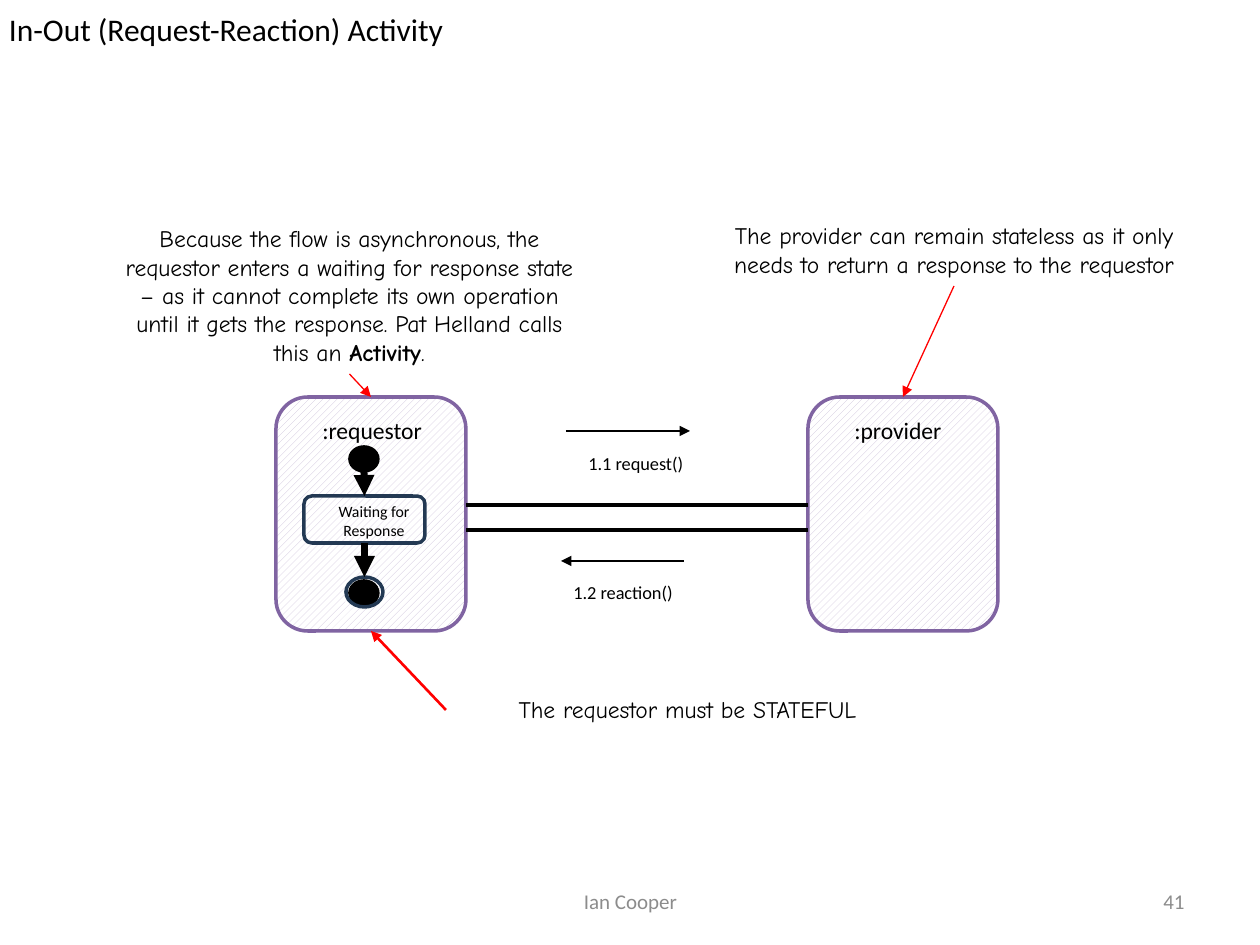
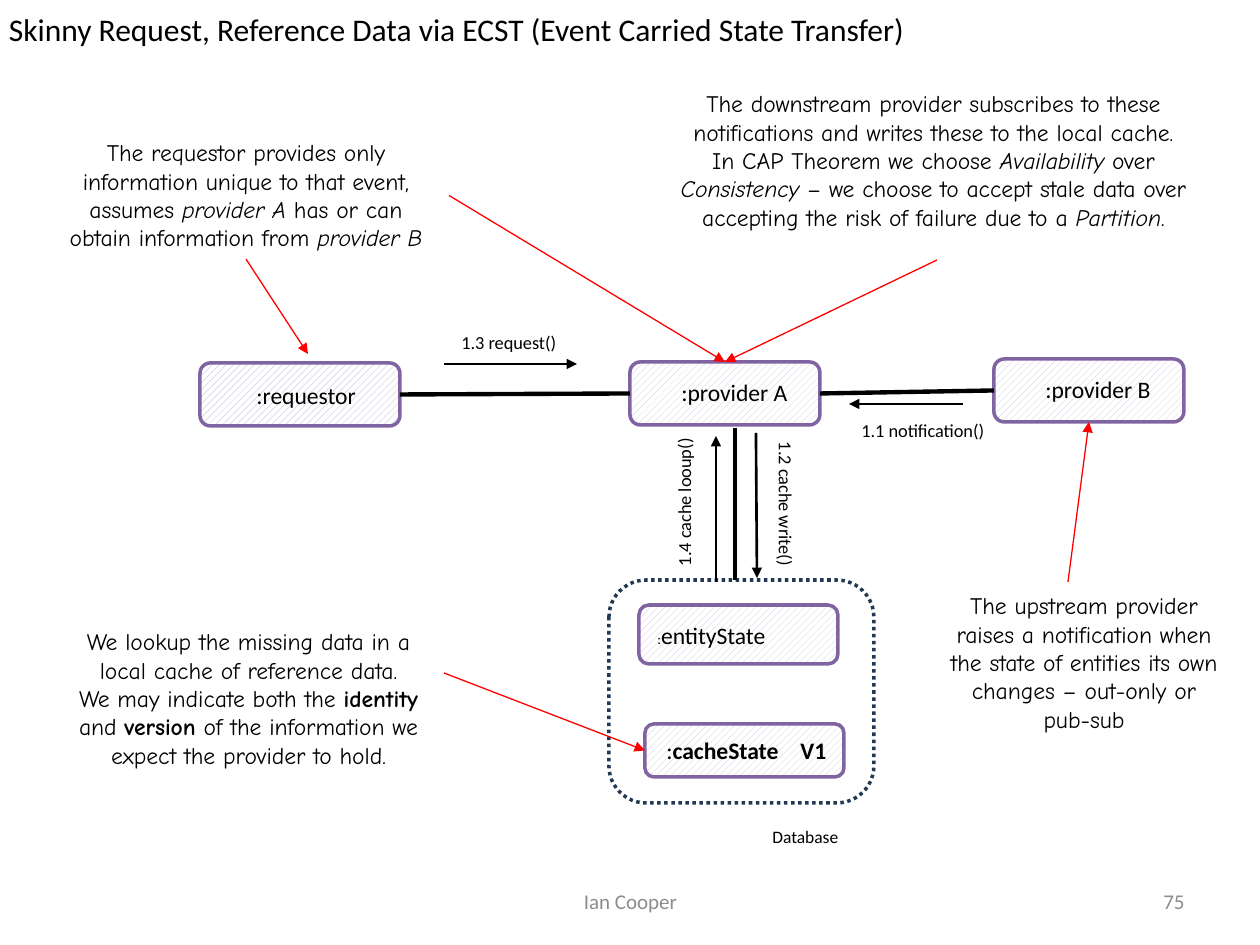
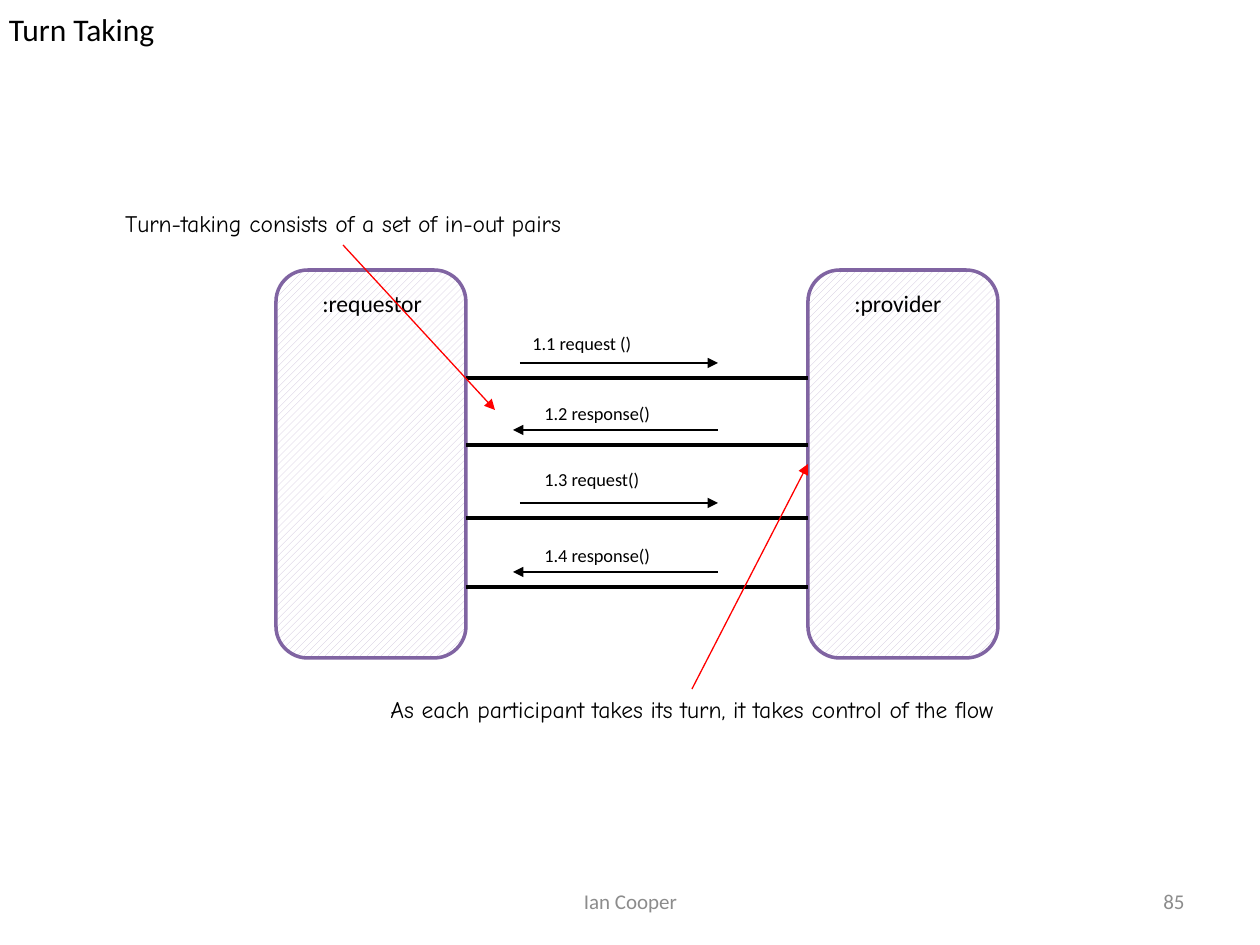
from dataclasses import dataclass
from typing import NamedTuple

from lxml import etree
from pptx import Presentation
from pptx.dml.color import RGBColor
from pptx.enum.dml import MSO_LINE, MSO_PATTERN
from pptx.enum.shapes import MSO_CONNECTOR, MSO_SHAPE
from pptx.enum.text import MSO_ANCHOR, MSO_AUTO_SIZE, PP_ALIGN
from pptx.oxml.ns import qn
from pptx.util import Emu, Pt

PX = 914400 // 126
PAGE_WIDTH, PAGE_HEIGHT = 1260, 945
BLANK_LAYOUT = 6
PARTICIPANT_WIDTH = 190
TOP, LEFT, BOTTOM, RIGHT = range(4)
ROUNDED, OVAL = MSO_SHAPE.ROUNDED_RECTANGLE, MSO_SHAPE.OVAL
STRAIGHT = MSO_CONNECTOR.STRAIGHT
HATCH = MSO_PATTERN.WIDE_UPWARD_DIAGONAL
DOTTED = MSO_LINE.ROUND_DOT
MIDDLE = MSO_ANCHOR.MIDDLE
FIT_TEXT = MSO_AUTO_SIZE.SHAPE_TO_FIT_TEXT
ALIGN_LEFT, ALIGN_CENTER, ALIGN_RIGHT = PP_ALIGN.LEFT, PP_ALIGN.CENTER, PP_ALIGN.RIGHT
BOLD, ITALIC = {"bold": True}, {"italic": True}


@dataclass(frozen=True)
class Theme:
    plain_font: str = "Calibri"
    note_font: str = "Comic Neue"
    ink: str = "000000"
    paper: str = "FFFFFF"
    muted: str = "8C8C8C"
    purple: str = "8064A2"
    hatch: str = "CCC1DA"
    dark_hatch: str = "B3A2C7"
    navy: str = "233953"
    red: str = "FF0000"
    title_size: float = 18
    body_size: float = 13.5
    footer_size: float = 12
    message_size: float = 10.5
    caption_size: float = 10
    state_size: float = 9
    colon_size: float = 8
    outline: float = 2
    link: float = 2.5
    arrow: float = 1.5
    pointer: float = 0.75
    flow: float = 4


THEME = Theme()


class Box(NamedTuple):
    left: int
    top: int
    width: int
    height: int

    def inside(self, dx, dy, width, height):
        return Box(self.left + dx, self.top + dy, width, height)

    def emu(self):
        return [Emu(value * PX) for value in self]


class Joint(NamedTuple):
    """A line end fixed to the middle of a shape's side."""
    shape: object
    side: int


def rgb(color):
    return RGBColor.from_string(color)


def write(page, box, paragraphs, size=THEME.body_size, font=THEME.plain_font,
          color=THEME.ink, align=ALIGN_LEFT, tab=None, rotation=0, **frame_format):
    """Add a text box; a run is a string or a (string, font values) pair."""
    text_box = page.shapes.add_textbox(*box.emu())
    text_box.rotation = rotation
    frame = text_box.text_frame
    for name, value in {"word_wrap": True, "auto_size": FIT_TEXT, **frame_format}.items():
        setattr(frame, name, value)
    for index, runs in enumerate(paragraphs):
        para = frame.add_paragraph() if index else frame.paragraphs[0]
        para.alignment = align
        if tab:
            tabs = etree.SubElement(para._p.get_or_add_pPr(), qn("a:tabLst"))
            etree.SubElement(tabs, qn("a:tab"), pos=str(tab * PX), algn="l")
        for run in runs:
            text, changes = (run, {}) if isinstance(run, str) else run
            span = para.add_run()
            span.text = text
            for name, value in {"name": font, "size": Pt(size), **changes}.items():
                setattr(span.font, name, value)
            span.font.color.rgb = rgb(color)
    return text_box


def outline(page, preset, box, line_color, fill=None, hatch=None):
    shape = page.shapes.add_shape(preset, *box.emu())
    shape.shadow.inherit = False
    shape.line.color.rgb = rgb(line_color)
    shape.line.width = Pt(THEME.outline)
    if hatch:
        shape.fill.patterned()
        shape.fill.pattern = HATCH
        shape.fill.fore_color.rgb = rgb(hatch)
        shape.fill.back_color.rgb = rgb(THEME.paper)
    elif fill:
        shape.fill.solid()
        shape.fill.fore_color.rgb = rgb(fill)
    else:
        shape.fill.background()
    return shape


def connect(page, start, end, width, color=THEME.ink, arrow=True):
    """Draw a straight line between two ends, each a point or a Joint."""
    points = [(0, 0) if isinstance(place, Joint) else place for place in (start, end)]
    connector = page.shapes.add_connector(
        STRAIGHT, *(Emu(value * PX) for point in points for value in point))
    for place, join in ((start, connector.begin_connect), (end, connector.end_connect)):
        if isinstance(place, Joint):
            join(*place)
    connector.line.color.rgb = rgb(color)
    connector.line.width = Pt(width)
    if arrow:
        etree.SubElement(connector.line._get_or_add_ln(), qn("a:tailEnd"), type="triangle")
    etree.SubElement(connector._element.spPr, qn("a:effectLst"))


def link(page, start, end):
    connect(page, start, end, THEME.link, arrow=False)


def point_out(page, start, end, width=THEME.pointer):
    connect(page, start, end, width, THEME.red)


def note(page, box, *paragraphs):
    return write(page, box, paragraphs, font=THEME.note_font, align=ALIGN_CENTER)


def message(page, box, text, start, end, rotation=0):
    write(page, box, [[text]], THEME.message_size, rotation=rotation)
    connect(page, start, end, THEME.arrow)


def participant(page, box, name, dx, dy, hatch=THEME.hatch):
    shape = outline(page, ROUNDED, box, THEME.purple, hatch=hatch)
    write(page, box.inside(dx, dy, 137, 42), [[name]])
    return shape


def conversation(page, box, link_offsets):
    """Place requestor and provider at the sides of the box, with links across."""
    inner_left = box.left + PARTICIPANT_WIDTH
    inner_right = box.left + box.width - PARTICIPANT_WIDTH
    pair = [participant(page, Box(left, box.top, PARTICIPANT_WIDTH, box.height), name, 34, 13)
            for left, name in ((box.left, ":requestor"), (inner_right, ":provider"))]
    for offset in link_offsets:
        y = box.top + offset
        link(page, (inner_left, y), (inner_right, y))
    return pair


def waiting_flow(page, box):
    """Draw the start, waiting and end states inside the requestor."""
    for dy in (50, 184):
        outline(page, OVAL, box.inside(74, dy, 28, 24), THEME.ink, fill=THEME.ink)
    waiting = outline(page, ROUNDED, box.inside(28, 99, 121, 47), THEME.navy)
    end_ring = outline(page, OVAL, box.inside(70, 180, 37, 30), THEME.navy)
    start_bottom = (box.left + 88, box.top + 74)
    connect(page, start_bottom, Joint(waiting, TOP), THEME.flow)
    connect(page, Joint(waiting, BOTTOM), Joint(end_ring, TOP), THEME.flow)
    write(page, box.inside(40, 99, 116, 50), [["Waiting for Response"]],
          THEME.state_size, align=ALIGN_CENTER)


def database(page, box):
    """Draw the store and return its cache entry."""
    cache = outline(page, ROUNDED, box.inside(36, 144, 199, 53), THEME.purple, hatch=THEME.hatch)
    outline(page, ROUNDED, box.inside(30, 25, 199, 59), THEME.purple, hatch=THEME.hatch)
    write(page, box.inside(36, 35, 161, 43),
          [[(":", {"size": Pt(THEME.colon_size)}), "entityState"]])
    write(page, box.inside(45, 150, 186, 42), [[":", ("cacheState\tV1", BOLD)]], tab=134)
    border = outline(page, ROUNDED, box, THEME.navy)
    border.line.dash_style = DOTTED
    write(page, box.inside(151, 240, 95, 34), [["Database"]], THEME.caption_size)
    return cache


def new_page(deck, title, number):
    page = deck.slides.add_slide(deck.slide_layouts[BLANK_LAYOUT])
    margin = Emu(9 * PX)
    write(page, Box(0, 1, PAGE_WIDTH, 57), [[title]], THEME.title_size,
          margin_left=margin, margin_right=margin, margin_top=margin, margin_bottom=margin)
    for box, text, align in ((Box(431, 876, 399, 50), "Ian Cooper", ALIGN_CENTER),
                             (Box(903, 876, 294, 50), str(number), ALIGN_RIGHT)):
        write(page, box, [[text]], THEME.footer_size, color=THEME.muted, align=align,
              auto_size=MSO_AUTO_SIZE.NONE, vertical_anchor=MIDDLE)
    return page


def activity_page(deck):
    page = new_page(deck, "In-Out (Request-Reaction) Activity", 41)
    area = Box(276, 397, 722, 234)
    requestor, provider = conversation(page, area, (108, 133))
    message(page, Box(576, 446, 123, 35), "1.1 request()", (566, 431), (690, 431))
    message(page, Box(561, 575, 164, 35), "1.2 reaction()", (684, 561), (561, 561))
    waiting_flow(page, area)
    stateless = note(page, Box(692, 215, 524, 71), [
        "The provider can remain stateless as it only needs to return a response "
        "to the requestor"])
    activity = note(page, Box(108, 218, 483, 156), [
        "Because the flow is asynchronous, the requestor enters a waiting for response "
        "state – as it cannot complete its own operation until it gets the response. "
        "Pat Helland calls this an ", ("Activity", BOLD), "."])
    stateful = note(page, Box(446, 689, 483, 42), ["The requestor must be STATEFUL"])
    point_out(page, Joint(activity, BOTTOM), Joint(requestor, TOP))
    point_out(page, Joint(stateless, BOTTOM), Joint(provider, TOP))
    point_out(page, Joint(stateful, LEFT), Joint(requestor, BOTTOM), THEME.arrow)


def state_transfer_page(deck):
    page = new_page(
        deck, "Skinny Request, Reference Data via ECST (Event Carried State Transfer)", 75)
    requestor = participant(page, Box(200, 363, 200, 63), ":requestor", 44, 12,
                            THEME.dark_hatch)
    provider_a = participant(page, Box(630, 362, PARTICIPANT_WIDTH, 63), ":provider A", 39, 10)
    provider_b = participant(page, Box(994, 359, PARTICIPANT_WIDTH, 63), ":provider B", 39, 10)
    cache = database(page, Box(609, 580, 265, 223))

    link(page, Joint(requestor, RIGHT), Joint(provider_a, LEFT))
    link(page, Joint(provider_a, RIGHT), Joint(provider_b, LEFT))
    link(page, (735, 580), (735, 428))
    message(page, Box(849, 413, 151, 35), "1.1 notification()", (963, 404), (849, 404))
    message(page, Box(703, 495, 166, 35), "1.2 cache write()", (756, 433), (757, 578), 90)
    message(page, Box(449, 325, 123, 35), "1.3 request()", (444, 364), (577, 364))
    message(page, Box(601, 478, 166, 35), "1.4 cache looup()", (716, 582), (716, 436), 270)

    unique = note(page, Box(43, 132, 406, 127), [
        "The requestor provides only information unique to that event, assumes ",
        ("provider A", ITALIC), " has or can obtain information from ",
        ("provider B", ITALIC)])
    note(page, Box(49, 621, 399, 156),
         ["We lookup the missing data in a local cache of reference data."],
         ["We may indicate both the ", ("identity", BOLD), " and ", ("version", BOLD),
          " of the information we expect the provider to hold."])
    note(page, Box(650, 83, 567, 156),
         ["The downstream provider subscribes to these notifications and writes these "
          "to the local cache."],
         ["In CAP Theorem we choose ", ("Availability", ITALIC), " over ",
          ("Consistency", ITALIC), " – we choose to accept stale data over accepting "
          "the risk of failure due to a ", ("Partition", ITALIC), "."])
    note(page, Box(937, 585, 294, 156), [
        "The upstream provider raises a notification when the state of entities its own "
        "changes – out-only or pub-sub"])
    for start, end in ((Joint(unique, BOTTOM), (308, 354)),
                       (Joint(unique, RIGHT), Joint(provider_a, TOP)),
                       ((937, 260), Joint(provider_a, TOP)),
                       ((444, 673), Joint(cache, LEFT)),
                       ((1068, 582), Joint(provider_b, BOTTOM))):
        point_out(page, start, end)


def turn_taking_page(deck):
    page = new_page(deck, "Turn Taking", 85)
    area = Box(276, 270, 722, 388)
    turns = (("1.1 request ()", 108, 244, 56), ("1.2 response()", 175, 256, 126),
             ("1.3 request()", 248, 256, 192), ("1.4 response()", 317, 256, 268))
    _, provider = conversation(page, area, [turn[1] for turn in turns])
    for index, (text, link_dy, label_dx, label_dy) in enumerate(turns):
        y = area.top + link_dy - 15
        start_x, end_x = (718, 513) if index % 2 else (520, 718)
        message(page, area.inside(label_dx, label_dy, 210, 35), text, (start_x, y), (end_x, y))
    pairs = note(page, Box(88, 203, 510, 42), ["Turn-taking consists of a set of in-out pairs"])
    control = note(page, Box(318, 689, 748, 42), [
        "As each participant takes its turn, it takes control of the flow"])
    point_out(page, Joint(pairs, BOTTOM), (495, 410))
    point_out(page, Joint(control, TOP), Joint(provider, LEFT))


def main():
    deck = Presentation()
    deck.slide_width, deck.slide_height = Emu(PAGE_WIDTH * PX), Emu(PAGE_HEIGHT * PX)
    for build_page in (activity_page, state_transfer_page, turn_taking_page):
        build_page(deck)
    deck.save("out.pptx")


if __name__ == "__main__":
    main()
